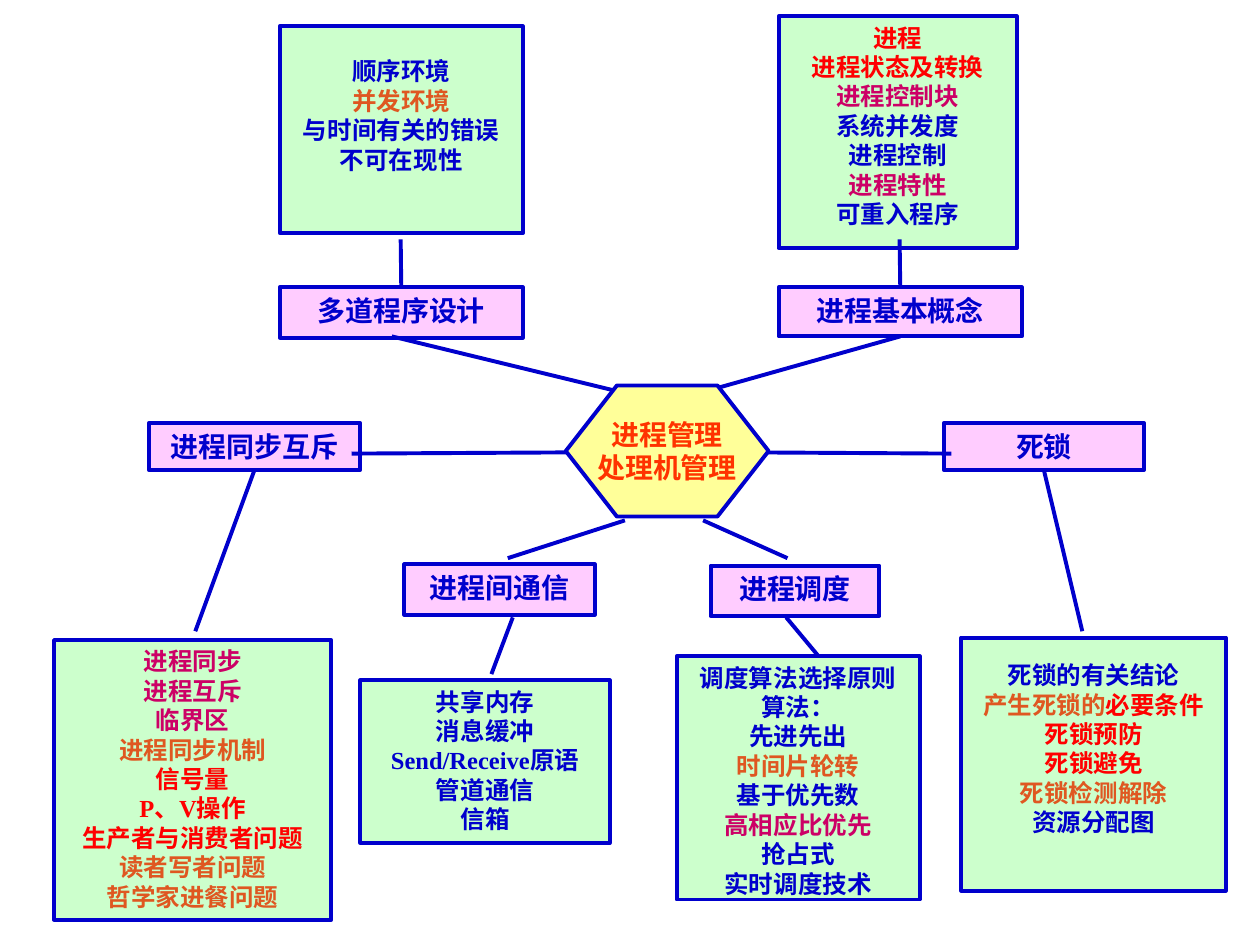
import pptx
import pptx.dml.color
import pptx.enum.shapes
import pptx.enum.text
import pptx.util
import lxml.etree
from pptx.util import Inches

RGBColor = pptx.dml.color.RGBColor
BLUE = RGBColor(0x00, 0x00, 0xCC)
RED = RGBColor(0xFF, 0x00, 0x00)
MAGENTA = RGBColor(0xCC, 0x00, 0x66)
ORANGE = RGBColor(0xDF, 0x57, 0x21)
SCARLET = RGBColor(0xFF, 0x33, 0x00)
GREEN_FILL = RGBColor(0xCC, 0xFF, 0xCC)
PINK_FILL = RGBColor(0xFF, 0xCC, 0xFF)
YELLOW_FILL = RGBColor(0xFF, 0xFF, 0x99)

SHAPES = pptx.enum.shapes.MSO_SHAPE
ANCHOR = pptx.enum.text.MSO_ANCHOR
LINE_WIDTH = pptx.util.Pt(2.25)
TOP, BOTTOM = 0, 2

presentation = pptx.Presentation()
presentation.slide_width, presentation.slide_height = Inches(10), Inches(7.5)
slide = presentation.slides.add_slide(presentation.slide_layouts[6])


def add_node(place, fill, lines, size, font="Times New Roman", kind=SHAPES.RECTANGLE, **frame_format):
    """Each line is a list of (text, colour) runs."""
    node = slide.shapes.add_shape(kind, *map(Inches, place))
    node.shadow.inherit = False
    node.fill.solid()
    node.fill.fore_color.rgb = fill
    node.line.color.rgb = BLUE
    node.line.width = LINE_WIDTH
    frame = node.text_frame
    frame_values = {"word_wrap": True, "vertical_anchor": ANCHOR.TOP,
                    "margin_left": Inches(0.1), "margin_right": Inches(0.1),
                    "margin_top": Inches(0.05), "margin_bottom": Inches(0.05)}
    for name, value in (frame_values | frame_format).items():
        setattr(frame, name, value)
    for number, runs in enumerate(lines):
        paragraph = frame.add_paragraph() if number else frame.paragraphs[0]
        paragraph.alignment = pptx.enum.text.PP_ALIGN.CENTER
        for text, colour in runs:
            run = paragraph.add_run()
            run.text = text
            for name, value in {"name": font, "size": pptx.util.Pt(size), "bold": True}.items():
                setattr(run.font, name, value)
            run.font.color.rgb = colour
    return node


# Detail boxes: place, lines, frame settings that differ
details = [
    ((6.18, 0.13, 1.89, 1.84),
     [[("进程", RED)], [("进程状态及转换", RED)], [("进程控制块", MAGENTA)],
      [("系统并发度", BLUE)], [("进程控制", BLUE)], [("进程特性", MAGENTA)],
      [("可重入程序", BLUE)]], {}),
    ((2.86, 5.4, 1.98, 1.29),
     [[("共享内存", BLUE)], [("消息缓冲", BLUE)], [("Send/Receive原语", BLUE)],
      [("管道通信", BLUE)], [("信箱", BLUE)]], {}),
    ((5.37, 5.21, 1.93, 1.93),
     [[("调度算法选择原则", BLUE)], [("算法：", BLUE)], [("先进先出", BLUE)],
      [("时间片轮转", ORANGE)], [("基于优先数", BLUE)], [("高相应比优先", MAGENTA)],
      [("抢占式", BLUE)], [("实时调度技术", BLUE)]], {}),
    ((0.43, 5.08, 2.2, 2.22),
     [[("进程同步", MAGENTA)], [("进程互斥", MAGENTA)], [("临界区", MAGENTA)],
      [("进程同步机制", ORANGE)], [("信号量", RED)], [("P、V操作", RED)],
      [("生产者与消费者问题", RED)], [("读者写者问题", ORANGE)],
      [("哲学家进餐问题", ORANGE)]], {}),
    ((7.63, 5.06, 2.1, 2.01),
     [[("死锁的有关结论", BLUE)], [("产生死锁的", ORANGE), ("必要条件", RED)],
      [("死锁预防", RED)], [("死锁避免", RED)], [("死锁检测解除", ORANGE)],
      [("资源分配图", BLUE)]], {"margin_top": Inches(0.18)}),
    ((2.22, 0.21, 1.93, 1.64),
     [[("顺序环境", BLUE)], [("并发环境", ORANGE)], [("与时间有关的错误", BLUE)],
      [("不可在现性", BLUE)]],
     {"font": "Arial", "word_wrap": False, "vertical_anchor": ANCHOR.MIDDLE,
      "margin_bottom": Inches(0.28)}),
]
for place, lines, settings in details:
    add_node(place, GREEN_FILL, lines, 14, **settings)

# Topic boxes
topic_places = {
    "多道程序设计": (2.22, 2.28, 1.93, 0.4),
    "进程基本概念": (6.18, 2.28, 1.93, 0.39),
    "进程同步互斥": (1.18, 3.36, 1.68, 0.37),
    "进程间通信": (3.21, 4.48, 1.51, 0.4),
    "进程调度": (5.64, 4.49, 1.34, 0.4),
    "死锁": (7.49, 3.36, 1.59, 0.37),
}
topics = {topic: add_node(place, PINK_FILL, [[(topic, BLUE)]], 16)
          for topic, place in topic_places.items()}

# Branches: start, end, and the topic side where the start is joined
branches = [
    ((3.11, 2.67), (4.96, 3.12), None),
    ((7.14, 2.67), (5.55, 3.12), ("进程基本概念", BOTTOM)),
    ((4.03, 4.43), (4.96, 4.13), None),
    ((6.25, 4.43), (5.58, 4.13), None),
    ((4.62, 3.59), (2.79, 3.6), None),
    ((5.87, 3.59), (7.55, 3.6), None),
    ((3.18, 2.27), (3.18, 1.9), ("多道程序设计", TOP)),
    ((7.14, 2.27), (7.14, 1.9), ("进程基本概念", TOP)),
    ((6.24, 4.9), (6.49, 5.2), None),
    ((2.05, 3.75), (1.55, 5.01), ("进程同步互斥", BOTTOM)),
    ((4.07, 4.9), (3.9, 5.35), None),
    ((8.26, 3.75), (8.59, 5.01), ("死锁", BOTTOM)),
]
for start, end, joint in branches:
    branch = slide.shapes.add_connector(
        pptx.enum.shapes.MSO_CONNECTOR.STRAIGHT, *map(Inches, start + end))
    branch.line.color.rgb = BLUE
    branch.line.width = LINE_WIDTH
    lxml.etree.SubElement(branch.element.spPr, pptx.oxml.ns.qn("a:effectLst"))
    if joint:
        topic, side = joint
        branch.begin_connect(topics[topic], side)

# Central subject, in front of the branches
subject = add_node((4.49, 3.06, 1.61, 1.04), YELLOW_FILL,
                   [[("进程管理", SCARLET)], [("处理机管理", SCARLET)]], 16,
                   font="Arial", kind=SHAPES.HEXAGON,
                   word_wrap=False, vertical_anchor=ANCHOR.MIDDLE)
subject.adjustments[0] = 0.39

presentation.save("out.pptx")
